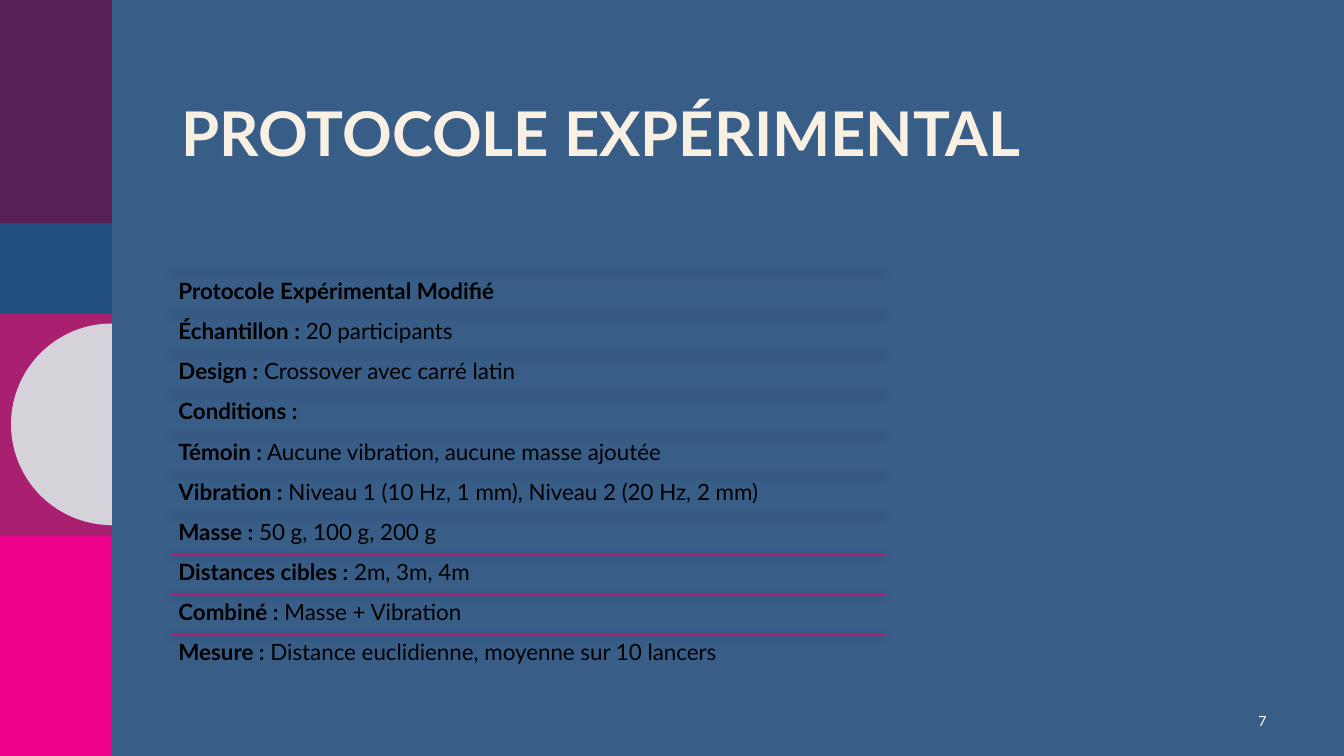
"""Build the experimental protocol slide."""
from math import cos, pi, sin

from lxml.etree import SubElement
from pptx import Presentation
from pptx.dml.color import RGBColor as RGB
from pptx.enum.shapes import MSO_CONNECTOR as LINK, MSO_SHAPE as SHAPE
from pptx.enum.text import MSO_ANCHOR as ANCHOR, PP_ALIGN as ALIGN
from pptx.oxml.ns import qn
from pptx.util import Inches, Pt

BLUE = RGB(0x38, 0x5E, 0x88)
NAVY = RGB(0x22, 0x4E, 0x7F)
PINK = RGB(0xEC, 0x00, 0x8C)
ROSE = RGB(0xAA, 0x20, 0x70)
PLUM = RGB(0x58, 0x21, 0x56)
GREY = RGB(0xD5, 0xD2, 0xDA)
CREAM = RGB(0xF8, 0xF0, 0xE3)
WHITE = RGB(0xFF, 0xFF, 0xFF)
BLACK = RGB(0x00, 0x00, 0x00)

TITLE = "PROTOCOLE EXPÉRIMENTAL"
PAGE = "7"
ROWS = [
    ("Protocole Expérimental Modifié", ""),
    ("Échantillon :", " 20 participants"),
    ("Design :", " Crossover avec carré latin"),
    ("Conditions :", ""),
    ("Témoin :", " Aucune vibration, aucune masse ajoutée"),
    ("Vibration :", " Niveau 1 (10 Hz, 1 mm), Niveau 2 (20 Hz, 2 mm)"),
    ("Masse :", " 50 g, 100 g, 200 g"),
    ("Distances cibles :", " 2m, 3m, 4m"),
    ("Combiné :", " Masse + Vibration"),
    ("Mesure :", " Distance euclidienne, moyenne sur 10 lancers"),
]
BANDS = [(5.28, 2.22, PINK), (3.1, 2.22, ROSE), (0, 2.22, PLUM), (2.22, 0.89, NAVY)]
BAND_W = 1.11
DISC_Y, DISC_R, ARCS = 4.21, 1, 90
LEFT, TOP, WIDTH, HEIGHT = 1.7, 2.71, 7.08, 3.98
SHADOW = {"blurRad": Pt(4.5), "dist": Pt(1.5), "dir": 90 * 60000,
          "algn": "ctr", "rotWithShape": 0}


def paint(shape, color):
    shape.shadow.inherit = False
    shape.fill.solid()
    shape.fill.fore_color.rgb = color
    shape.line.fill.background()


def write(slide, box, runs, size, color, inset=(0.1, 0.05), form=None, anchor=ANCHOR.TOP):
    frame = slide.shapes.add_textbox(*map(Inches, box)).text_frame
    side, edge = map(Inches, inset)
    margins = {"margin_left": side, "margin_right": side,
               "margin_top": edge, "margin_bottom": edge}
    for name, value in {**margins, "word_wrap": True, "vertical_anchor": anchor}.items():
        setattr(frame, name, value)
    para = frame.paragraphs[0]
    for name, value in (form or {}).items():
        setattr(para, name, value)
    for text, bold in runs:
        run = para.add_run()
        run.text = text
        for name, value in {"name": "Lato", "size": Pt(size), "bold": bold}.items():
            setattr(run.font, name, value)
        run.font.color.rgb = color


def rule(slide, y):
    line = slide.shapes.add_connector(
        LINK.STRAIGHT, Inches(LEFT), Inches(y), Inches(LEFT + WIDTH), Inches(y))
    line.line.color.rgb = ROSE
    line.line.width = Pt(0.5)
    effects = SubElement(line.element.spPr, qn("a:effectLst"))
    shade = SubElement(effects, qn("a:outerShdw"),
                       {name: str(int(value)) if name != "algn" else value
                        for name, value in SHADOW.items()})
    tint = SubElement(shade, qn("a:srgbClr"), val=str(BLACK))
    SubElement(tint, qn("a:alpha"), val="63000")


def main():
    deck = Presentation()
    deck.slide_width, deck.slide_height = Inches(13.33), Inches(7.5)
    slide = deck.slides.add_slide(deck.slide_layouts[6])
    slide.background.fill.solid()
    slide.background.fill.fore_color.rgb = BLUE

    for y, tall, color in BANDS:
        box = map(Inches, (0, y, BAND_W, tall))
        paint(slide.shapes.add_shape(SHAPE.RECTANGLE, *box), color)

    arc = [(Inches(BAND_W - DISC_R * sin(pi * i / ARCS)),
            Inches(DISC_Y - DISC_R * cos(pi * i / ARCS))) for i in range(ARCS + 1)]
    disc = slide.shapes.build_freeform(*arc[0])
    disc.add_line_segments(arc[1:], close=True)
    paint(disc.convert_to_shape(), GREY)

    write(slide, (1.7, 0.98, 10.79, 1.49), [(TITLE, True)], 44, CREAM,
          form={"line_spacing": 0.9})
    write(slide, (12.16, 6.95, 0.5, 0.4), [(PAGE, False)], 10, WHITE,
          form={"alignment": ALIGN.RIGHT, "space_after": Pt(6)}, anchor=ANCHOR.MIDDLE)

    step = HEIGHT / len(ROWS)
    for i, (label, detail) in enumerate(ROWS):
        y = TOP + i * step
        rule(slide, y)
        runs = [(text, bold) for text, bold in ((label, True), (detail, False)) if text]
        write(slide, (LEFT, y, WIDTH, step), runs, 16, BLACK, (0.07, 0.07),
              {"line_spacing": 0.9})

    deck.save("out.pptx")


if __name__ == "__main__":
    main()
